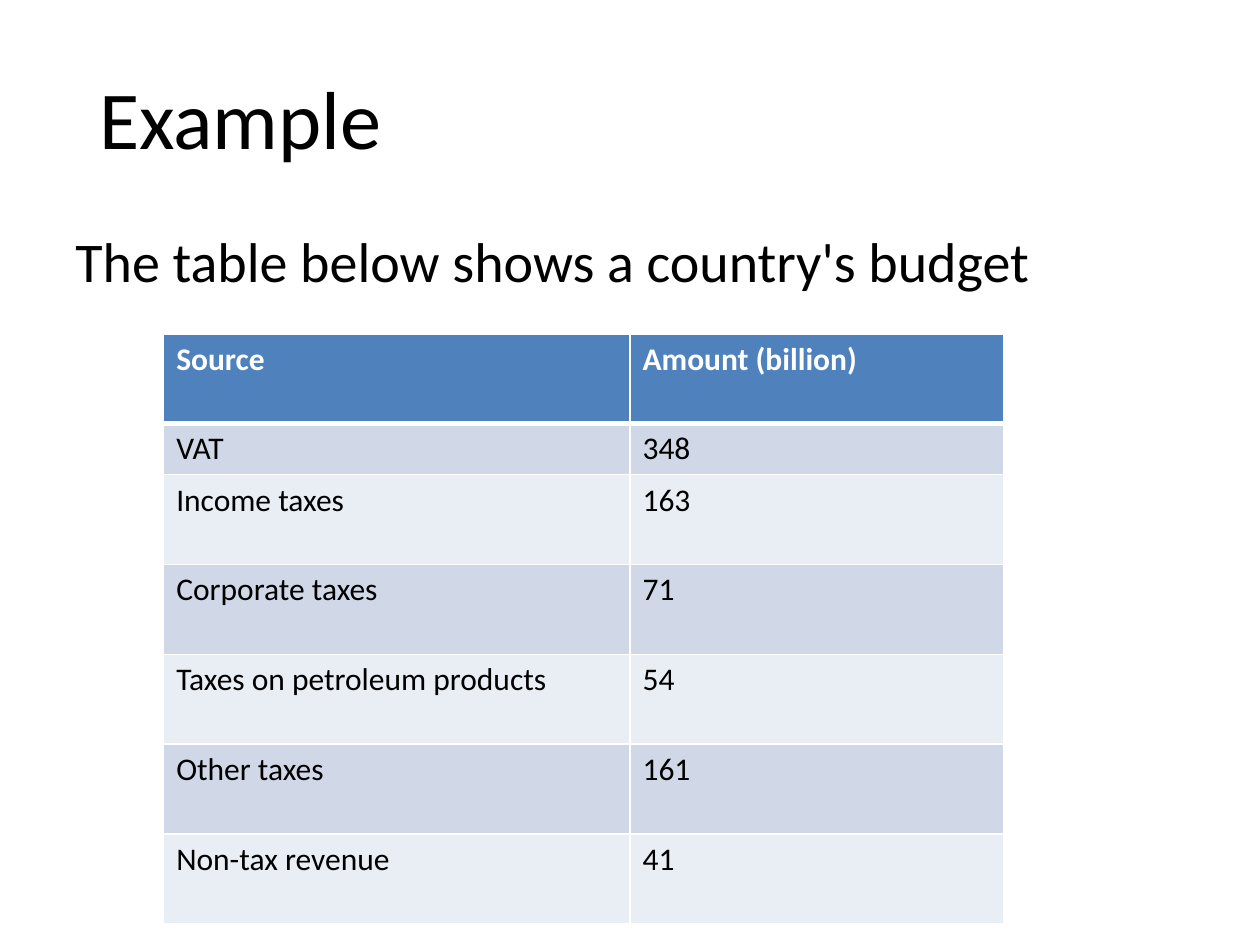
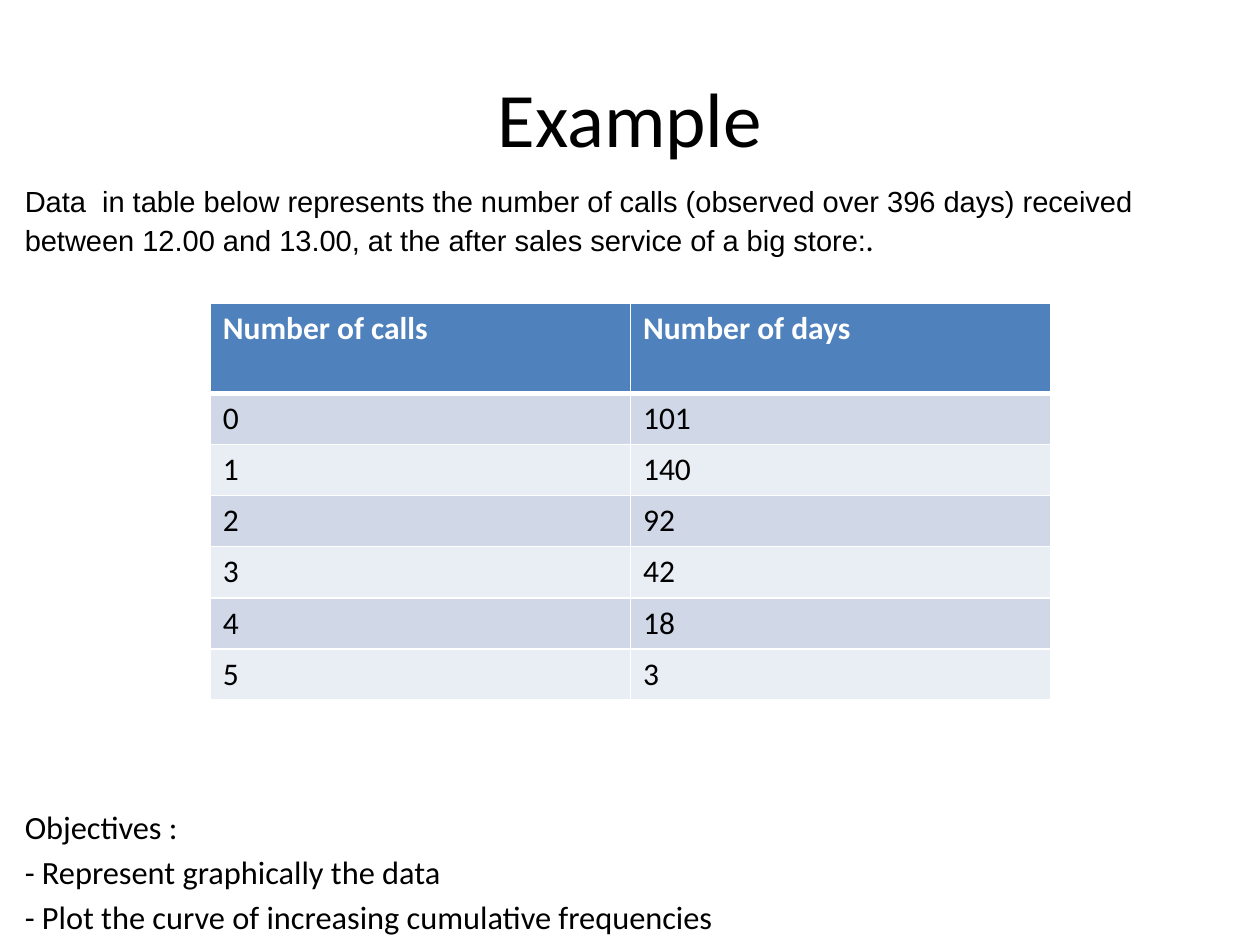
"""Build two example slides, each with a title, a short text and a two-column table."""
from lxml.etree import SubElement
from pptx import Presentation
from pptx.dml.color import RGBColor
from pptx.enum.text import MSO_ANCHOR, PP_ALIGN
from pptx.oxml.ns import qn
from pptx.util import Cm, Pt

BLACK, WHITE, BLUE = "000000", "FFFFFF", "4F81BD"
BANDS = ["E9EDF4", "D0D8E8"]
TALL, LOW = 1.81, 1.03


def write(par, text, size=18, face="Calibri", ink=BLACK, bold=False):
    run = par.add_run()
    run.text = text
    run.font.size = Pt(size)
    run.font.name = face
    run.font.bold = bold
    run.font.color.rgb = RGBColor.from_string(ink)


def frame(slide, left, top, width, height, anchor=MSO_ANCHOR.TOP):
    box = slide.shapes.add_textbox(Cm(left), Cm(top), Cm(width), Cm(height))
    box.text_frame.word_wrap = True
    box.text_frame.vertical_anchor = anchor
    return box.text_frame


deck = Presentation()
deck.slide_width, deck.slide_height = Cm(25.4), Cm(19.05)
budget, calls = [deck.slides.add_slide(deck.slide_layouts[6]) for _ in range(2)]

title = frame(budget, 1.75, 0.9, 21.9, 2.6, MSO_ANCHOR.BOTTOM).paragraphs[0]
title.line_spacing = 0.9
write(title, "Example", size=47)
intro = frame(budget, 1.27, 4.45, 22.86, 1.8).paragraphs[0]
write(intro, "The table below shows a country's budget", size=32)

title = frame(calls, 1.27, 0.76, 22.86, 3.18, MSO_ANCHOR.MIDDLE).paragraphs[0]
title.alignment = PP_ALIGN.CENTER
write(title, "Example", size=44)
intro = frame(calls, 0.25, 3.58, 24.9, 2).paragraphs[0]
write(intro, "Data  in table below represents the number of calls (observed over 396 days) "
      "received between 12.00 and 13.00, at the after sales service of a big store:",
      size=16.6, face="Arial")
write(intro, ".", size=18.5)

goals = frame(calls, 0.25, 16.14, 24.9, 2.8)
for num, goal in enumerate(["Objectives :", "- Represent graphically the data",
                            "- Plot the curve of increasing cumulative frequencies"]):
    par = goals.add_paragraph() if num else goals.paragraphs[0]
    if num:
        par.space_before = Pt(3.7)
    write(par, goal, size=18.5)

taxes = [("Source", "Amount (billion)"), ("VAT", "348"), ("Income taxes", "163"),
         ("Corporate taxes", "71"), ("Taxes on petroleum products", "54"),
         ("Other taxes", "161"), ("Non-tax revenue", "41")]
days = [("Number of calls", "Number of days"), ("0", "101"), ("1", "140"),
        ("2", "92"), ("3", "42"), ("4", "18"), ("5", "3")]

for slide, rows, left, top, widths, heights in [
        (budget, taxes, 3.3, 6.73, [9.4, 7.54], [TALL, LOW] + [TALL] * 5),
        (calls, days, 4.24, 6.12, [8.47, 8.47], [TALL] + [LOW] * 6)]:
    grid = slide.shapes.add_table(len(rows), 2, Cm(left), Cm(top),
                                  Cm(sum(widths)), Cm(sum(heights))).table
    for col, width in zip(grid.columns, widths):
        col.width = Cm(width)
    for num, (row, height) in enumerate(zip(rows, heights)):
        grid.rows[num].height = Cm(height)
        head = num == 0
        for cell, text in zip(grid.rows[num].cells, row):
            write(cell.text_frame.paragraphs[0], text,
                  ink=WHITE if head else BLACK, bold=head)
            props = cell._tc.get_or_add_tcPr()
            for side in ["lnL", "lnR", "lnT", "lnB"]:
                thick = (num, side) in [(0, "lnB"), (1, "lnT")]
                line = SubElement(props, qn("a:" + side), w=str(Pt(3 if thick else 1)))
                fill = SubElement(line, qn("a:solidFill"))
                SubElement(fill, qn("a:srgbClr"), val=WHITE)
            cell.fill.solid()
            cell.fill.fore_color.rgb = RGBColor.from_string(BLUE if head else BANDS[num % 2])

deck.save("out.pptx")
